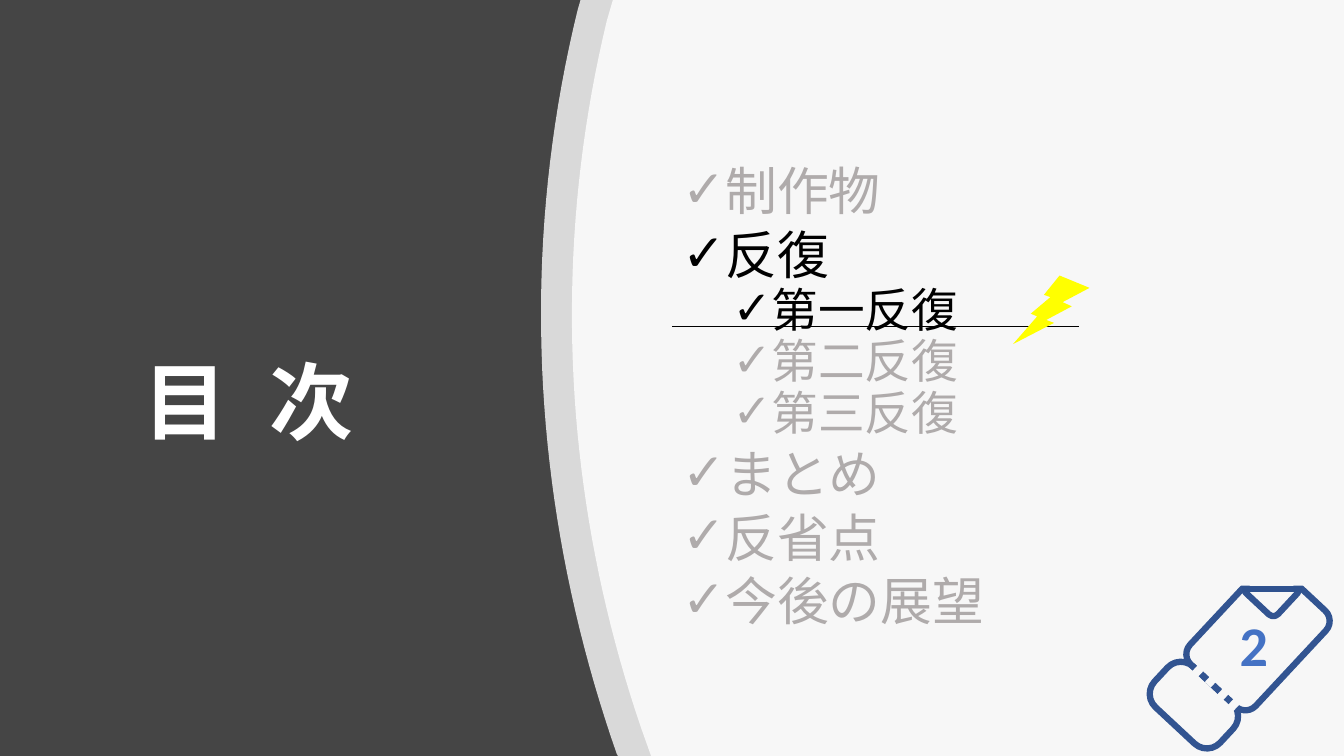
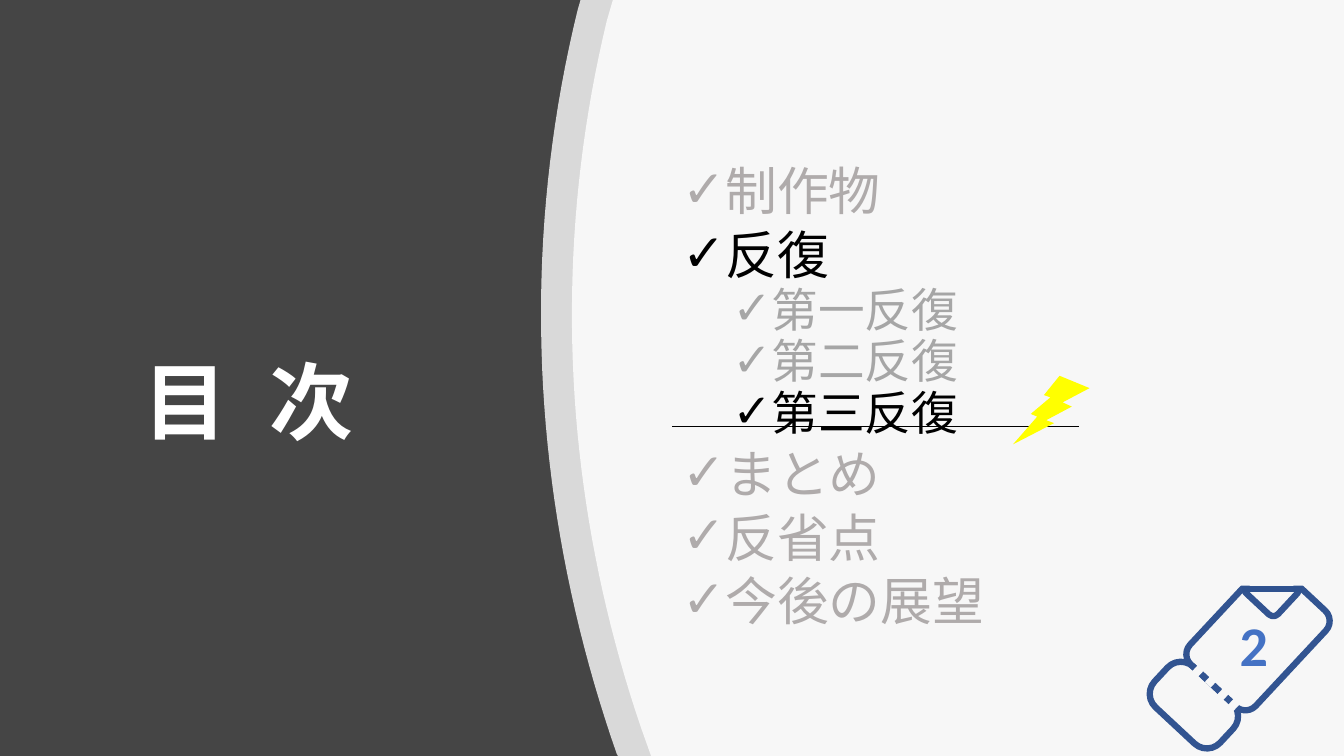
from dataclasses import dataclass

import pptx
import pptx.dml.color
import pptx.enum.shapes
import pptx.enum.text
import pptx.oxml
import pptx.oxml.ns
import pptx.util

Pt = pptx.util.Pt
RGB = pptx.dml.color.RGBColor.from_string
SHAPES = pptx.enum.shapes.MSO_SHAPE
ALIGN = pptx.enum.text.PP_ALIGN
ANCHOR = pptx.enum.text.MSO_ANCHOR
NO_FIT = pptx.enum.text.MSO_AUTO_SIZE.NONE


@dataclass(frozen=True)
class Theme:
    backdrop: str = "454545"
    panel: str = "FFFFFF"
    panel_opacity: int = 80
    title: str = "FFFFFF"
    current: str = "000000"
    muted: str = "AFABAB"
    past: str = "A6A6A6"
    bolt: str = "FFFF00"
    ticket: str = "325491"
    ticket_fold: str = "2F528F"
    ticket_mask: str = "F7F7F7"
    number: str = "4472C4"
    font: str = "Arial"
    number_font: str = "Calibri"
    title_size: float = 60
    item_size: float = 37
    subitem_size: float = 33.3
    number_size: float = 40
    ticket_line: float = 4.5
    rule_line: float = 1


THEME = Theme()
WIDTH, HEIGHT = 960, 540
TILT = 313

AGENDA = [
    ("制作物", 0), ("反復", 0), ("第一反復", 1), ("第二反復", 1),
    ("第三反復", 1), ("まとめ", 0), ("反省点", 0), ("今後の展望", 0),
]

# Panel edges: bottom corner, four Bezier points going up, top corner
PANEL_EDGES = [
    ((441.4, 540), [(440.6, 538.6), (381.6, 370), (368.6, 187.2), (412.6, 7.2)], (414.7, 0)),
    ((465.1, 540), [(457.9, 519.8), (403.2, 359.3), (392.4, 185.8), (433.4, 15.1)], (437.8, 0)),
]


def add_xml(parent, xml):
    head, tail = xml.split(" ", 1)
    parent.append(pptx.oxml.parse_xml(
        f"{head} {pptx.oxml.ns.nsdecls('a')} {tail}"))


def bezier(points, steps=40):
    p0, p1, p2, p3 = points
    for step in range(steps + 1):
        t = step / steps
        u = 1 - t
        yield tuple(u**3 * a + 3 * u * u * t * b + 3 * u * t * t * c + t**3 * d
                    for a, b, c, d in zip(p0, p1, p2, p3))


def add_panel(slide, bottom, curve, top):
    outline = [(WIDTH, 0), (WIDTH, HEIGHT), bottom, *bezier(curve), top]
    corners = [(Pt(x), Pt(y)) for x, y in outline]
    builder = slide.shapes.build_freeform(*corners[0])
    builder.add_line_segments(corners[1:], close=True)
    panel = builder.convert_to_shape()
    paint(panel, fill=THEME.panel)
    color = panel.fill._xPr.find(".//" + pptx.oxml.ns.qn("a:srgbClr"))
    add_xml(color, f'<a:alpha val="{THEME.panel_opacity * 1000}"/>')


def paint(shape, fill=None, line=None):
    shape.shadow.inherit = False
    if fill:
        shape.fill.solid()
        shape.fill.fore_color.rgb = RGB(fill)
    else:
        shape.fill.background()
    if line:
        shape.line.color.rgb = RGB(line)
        shape.line.width = Pt(THEME.ticket_line)
    else:
        shape.line.fill.background()


def add_preset(shapes, kind, box, fill=None, line=None, rotation=0, corner=None):
    shape = shapes.add_shape(kind, *map(Pt, box))
    paint(shape, fill, line)
    shape.rotation = rotation
    if corner is not None:
        shape.adjustments[0] = corner
    return shape


def add_rule(shapes, left, right, y, color, width):
    rule = shapes.add_connector(pptx.enum.shapes.MSO_CONNECTOR.STRAIGHT,
                                Pt(left), Pt(y), Pt(right), Pt(y))
    rule.line.color.rgb = RGB(color)
    rule.line.width = Pt(width)
    add_xml(rule._element.spPr, "<a:effectLst />")


def add_run(paragraph, text, size, color, font=THEME.font, bold=False):
    run = paragraph.add_run()
    run.text = text
    run.font.name = font
    run.font.size = Pt(size)
    run.font.bold = bold
    run.font.color.rgb = RGB(color)
    return run


def set_title(slide):
    title = slide.shapes.title
    title.left, title.top, title.width, title.height = map(Pt, (95, 117.4, 182.9, 344.9))
    frame = title.text_frame
    frame.auto_size = NO_FIT
    frame.word_wrap = True
    frame.vertical_anchor = ANCHOR.MIDDLE
    paragraph = frame.paragraphs[0]
    paragraph.alignment = ALIGN.LEFT
    paragraph.line_spacing = 0.9
    for text in ("目", " ", "次"):
        run = add_run(paragraph, text, THEME.title_size, THEME.title, bold=True)
        if text == " ":
            run.font._element.set("spc", "1670")  # widens the gap between the two characters


def add_agenda(slide, current, subitem_color):
    box = slide.shapes.add_textbox(*map(Pt, (480.2, 110.2, 433.4, 352.1)))
    frame = box.text_frame
    frame.word_wrap = True
    frame.auto_size = NO_FIT
    frame.vertical_anchor = ANCHOR.MIDDLE
    for index, (text, level) in enumerate(AGENDA):
        paragraph = frame.add_paragraph() if index else frame.paragraphs[0]
        paragraph.level = level
        paragraph.line_spacing = 0.8
        paragraph.space_before = Pt((5 if level else 10) if index else 0)
        properties = paragraph._p.get_or_add_pPr()
        properties.set("marL", str(Pt(54 if level else 18)))
        properties.set("indent", str(Pt(-18)))
        add_xml(properties, f'<a:buFont typeface="{THEME.font}"/>')
        add_xml(properties, '<a:buChar char="✓"/>')
        color = subitem_color if level else THEME.muted
        if text in current:
            color = THEME.current
        add_run(paragraph, text, THEME.subitem_size if level else THEME.item_size, color)


def add_ticket(slide, number):
    """Tilted ticket holding the page number."""
    parts = slide.shapes.add_group_shape().shapes
    for box, corner in [((833, 471.6, 39.6, 64.1), 0.328),
                        ((851.8, 423.4, 93.6, 64.1), 0.157),
                        ((893.5, 404.6, 29.5, 31.7), 0.157)]:
        add_preset(parts, SHAPES.ROUNDED_RECTANGLE, box, line=THEME.ticket,
                   rotation=TILT, corner=corner)
    add_rule(parts, 887, 930.2, 420.5, THEME.ticket_fold, THEME.ticket_line)
    add_preset(parts, SHAPES.RECTANGLE, (885.6, 395.3, 51.8, 23), fill=THEME.ticket_mask)
    for left, top in [(849.6, 475.2), (860.4, 481), (868.3, 491), (876.2, 498.2)]:
        add_preset(parts, SHAPES.RECTANGLE, (left, top, 14.4, 5.8),
                   fill=THEME.ticket_mask, rotation=TILT)
    label = slide.shapes.add_textbox(*map(Pt, (866.9, 432.7, 57.6, 55.4)))
    label.text_frame.word_wrap = True
    paragraph = label.text_frame.paragraphs[0]
    paragraph.alignment = ALIGN.CENTER
    add_run(paragraph, number, THEME.number_size, THEME.number, THEME.number_font, bold=True)


def add_marker(slide, y):
    """Underline and lightning bolt at the current item."""
    add_rule(slide.shapes, 480.2, 770.4, y, THEME.current, THEME.rule_line)
    bolt = add_preset(slide.shapes, SHAPES.LIGHTNING_BOLT, (723.6, y - 36.4, 54.7, 49),
                      fill=THEME.bolt)
    bolt._element.spPr.xfrm.set("flipH", "1")


def add_contents_slide(deck, current, subitem_color, marker_y):
    slide = deck.slides.add_slide(deck.slide_layouts.get_by_name("Title Only"))
    slide.background.fill.solid()
    slide.background.fill.fore_color.rgb = RGB(THEME.backdrop)
    set_title(slide)
    for edge in PANEL_EDGES:
        add_panel(slide, *edge)
    add_agenda(slide, current, subitem_color)
    add_ticket(slide, "2")
    add_marker(slide, marker_y)


def main():
    deck = pptx.Presentation()
    deck.slide_width, deck.slide_height = Pt(WIDTH), Pt(HEIGHT)
    add_contents_slide(deck, ("反復", "第一反復"), THEME.muted, 233.2)
    add_contents_slide(deck, ("反復", "第三反復"), THEME.past, 304.8)
    deck.save("out.pptx")


if __name__ == "__main__":
    main()
